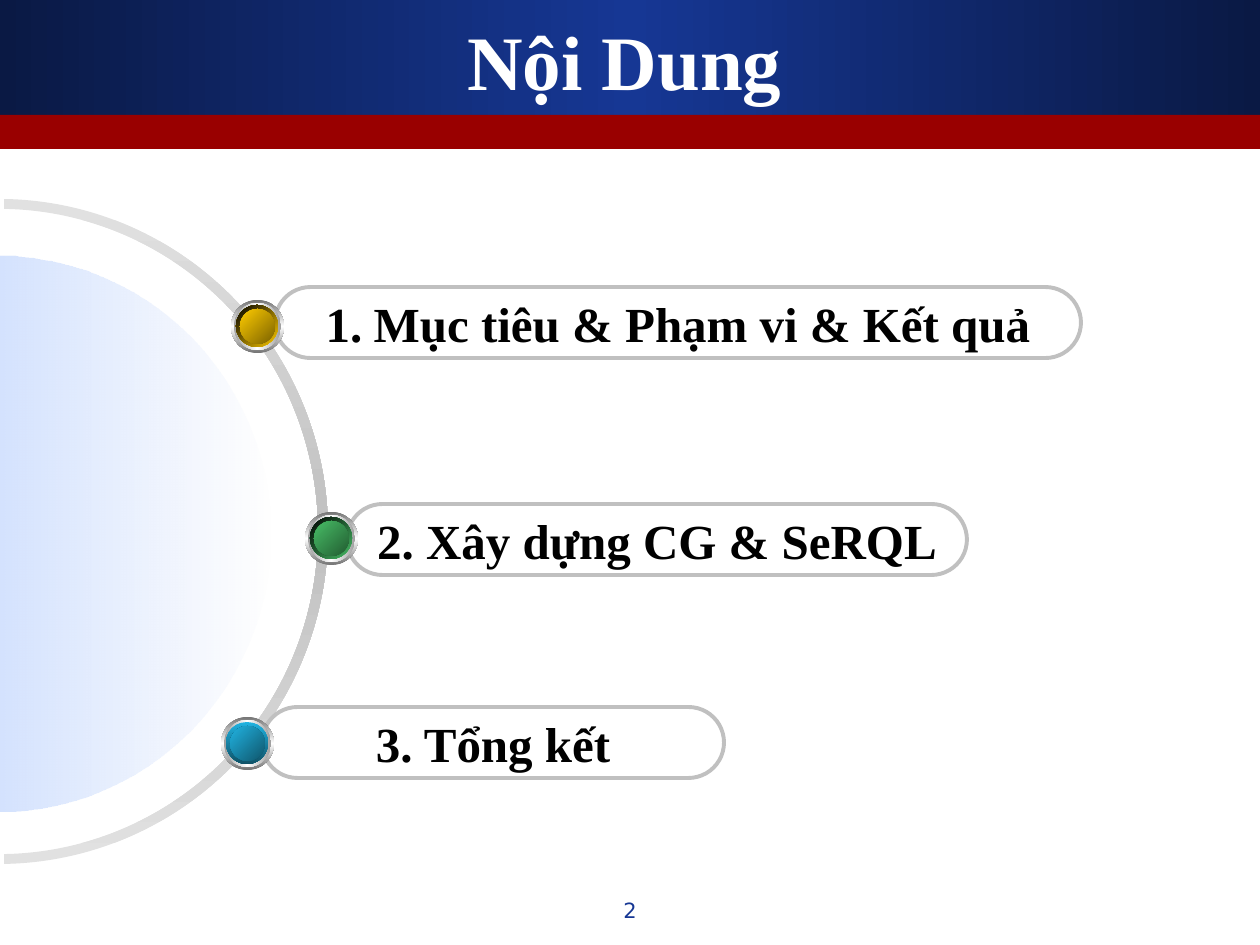
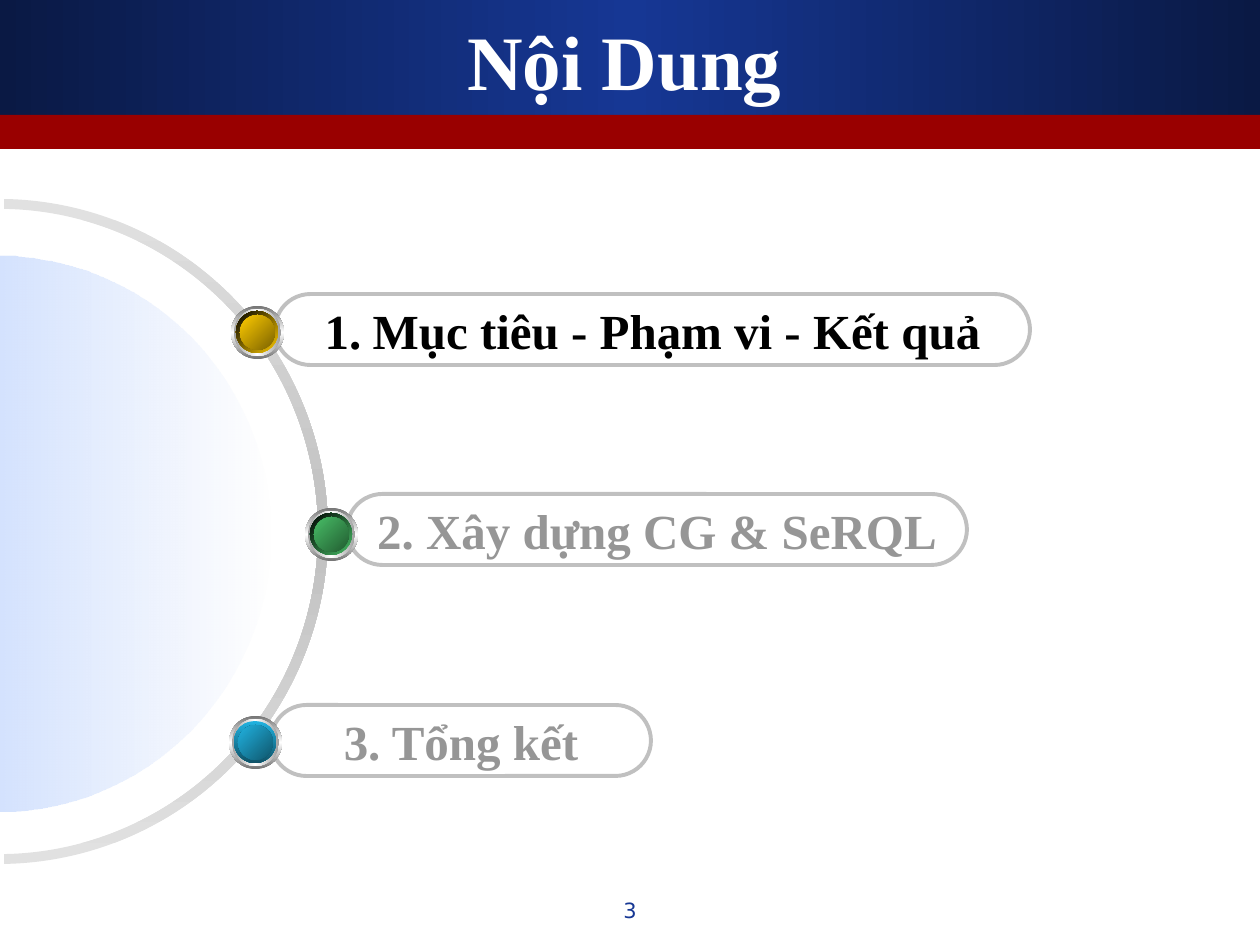
import pptx
import pptx.dml.color
import pptx.enum.shapes
import pptx.enum.text
import pptx.oxml.ns
import pptx.util
from lxml import etree

RGB = pptx.dml.color.RGBColor
SHAPE = pptx.enum.shapes.MSO_SHAPE
ANCHOR = pptx.enum.text.MSO_ANCHOR
ALIGN = pptx.enum.text.PP_ALIGN
qn = pptx.oxml.ns.qn

EMU_PER_PX = 914400 / 126
SLIDE_WIDTH, SLIDE_HEIGHT = 1260, 945
PILL_HEIGHT = 71
KNOB_SIZE = 53
SERIF, SANS = "Times New Roman", "DejaVu Sans"

WHITE = RGB(0xFF, 0xFF, 0xFF)
BLACK = RGB(0x00, 0x00, 0x00)
NAVY = RGB(0x0A, 0x19, 0x44)
BLUE = RGB(0x16, 0x37, 0x94)
RED = RGB(0x99, 0x00, 0x00)
PALE_GRAY = RGB(0xE1, 0xE1, 0xE1)
SILVER = RGB(0xC0, 0xC0, 0xC0)
MUTED = RGB(0x96, 0x96, 0x96)
STEEL = RGB(0x75, 0x75, 0x75)
ASH = RGB(0xA1, 0xA1, 0xA1)
SKY = RGB(0x66, 0x99, 0xFF)
NEAR_WHITE = RGB(0xFE, 0xFE, 0xFE)
GOLD, DARK_GOLD = RGB(0xFF, 0xCC, 0x00), RGB(0x7B, 0x62, 0x00)
GREEN, DARK_GREEN = RGB(0x48, 0xBE, 0x67), RGB(0x22, 0x5C, 0x31)
CYAN, DARK_CYAN = RGB(0x21, 0xB3, 0xE1), RGB(0x0F, 0x56, 0x6C)
CYAN_RIM = RGB(0x0F, 0x52, 0x67)

KNOB_STYLES = [
    (((GOLD, BLACK), 225), ((DARK_GOLD, GOLD), 225)),
    (((GREEN, BLACK), 225), ((DARK_GREEN, GREEN), 225)),
    (((CYAN, CYAN_RIM), 90), ((DARK_CYAN, CYAN), 225)),
]

AGENDAS = [
    {
        "number": "2",
        "items": [
            ("Mục tiêu & Phạm vi & Kết quả", True, BLACK, (275, 287, 806), (231, 300)),
            ("2. Xây dựng CG & SeRQL", False, BLACK, (347, 504, 620), (305, 512)),
            ("3. Tổng kết", False, BLACK, (262, 707, 462), (221, 717)),
        ],
    },
    {
        "number": "3",
        "items": [
            ("Mục tiêu - Phạm vi - Kết quả", True, BLACK, (275, 294, 755), (231, 306)),
            ("2. Xây dựng CG & SeRQL", False, MUTED, (347, 494, 620), (305, 508)),
            ("3. Tổng kết", False, MUTED, (271, 705, 380), (229, 716)),
        ],
    },
]


def px(*lengths):
    """Turn pixel lengths into EMU."""
    return [pptx.util.Emu(round(length * EMU_PER_PX)) for length in lengths]


def fill_gradient(shape, colors, angle, alphas=None):
    """Fill a shape with evenly spaced colours, at a clockwise angle."""
    shape.fill.gradient()
    shape.fill.gradient_angle = (360 - angle) % 360
    stops = shape._element.spPr.find(qn("a:gradFill")).find(qn("a:gsLst"))
    for stop in list(stops):
        stops.remove(stop)
    for index, color in enumerate(colors):
        position = 100000 * index // (len(colors) - 1)
        stop = etree.SubElement(stops, qn("a:gs"), pos=str(position))
        value = etree.SubElement(stop, qn("a:srgbClr"), val=str(color))
        if alphas:
            etree.SubElement(value, qn("a:alpha"), val=str(alphas[index] * 1000))


def add_plain_shape(shapes, kind, box):
    """Add a preset shape without shadow, fill or line."""
    shape = shapes.add_shape(kind, *px(*box))
    shape.shadow.inherit = False
    shape.fill.background()
    shape.line.fill.background()
    return shape


def write_text(shape, text, font_name, size, color, bold=False, wrap=True):
    """Write one centred run into a shape and return its paragraph."""
    frame = shape.text_frame
    frame.word_wrap = wrap
    paragraph = frame.paragraphs[0]
    paragraph.alignment = ALIGN.CENTER
    run = paragraph.add_run()
    run.text = text
    run.font.name = font_name
    run.font.size = pptx.util.Pt(size)
    run.font.bold = bold
    run.font.color.rgb = color
    return paragraph


def add_header(slide, title, height=115, stripe_height=34):
    """Draw the title band with its stripe."""
    band = add_plain_shape(slide.shapes, SHAPE.RECTANGLE, (0, 0, SLIDE_WIDTH, height))
    fill_gradient(band, (NAVY, BLUE, NAVY), 180)
    stripe = add_plain_shape(slide.shapes, SHAPE.RECTANGLE,
                             (0, height, SLIDE_WIDTH, stripe_height))
    stripe.fill.solid()
    stripe.fill.fore_color.rgb = RED
    title_box = slide.shapes.add_textbox(*px(42, 21, 1165, 78))
    title_box.text_frame.vertical_anchor = ANCHOR.MIDDLE
    write_text(title_box, title, SERIF, 44, WHITE, bold=True)


def add_footer(slide, number):
    """Write the slide number at the bottom centre."""
    number_box = slide.shapes.add_textbox(*px(483, 891, 294, 44))
    write_text(number_box, number, SANS, 12, BLUE)


def add_arc(slide, box, start, end, thickness):
    """Add a block arc between two clockwise angles in degrees."""
    arc = add_plain_shape(slide.shapes, SHAPE.BLOCK_ARC, box)
    arc.adjustments[0] = start * 0.6
    arc.adjustments[1] = end * 0.6
    arc.adjustments[2] = thickness
    return arc


def add_dial(slide):
    """Draw the ring and the half disc at the left edge."""
    ring = add_arc(slide, (-330, 199, 658, 665), 270.87, 89.13, 0.015)
    fill_gradient(ring, (PALE_GRAY, SILVER, PALE_GRAY), 90)
    disc = add_arc(slide, (-272, 256, 542, 556), 270, 90, 0.497)
    fill_gradient(disc, (SKY, NEAR_WHITE), 0, alphas=(56, 48))


def add_pill(slide, text, numbered, color, left, top, width):
    """Add one agenda entry in a rounded outline."""
    pill = add_plain_shape(slide.shapes, SHAPE.ROUNDED_RECTANGLE,
                           (left, top, width, PILL_HEIGHT))
    pill.adjustments[0] = 0.5
    pill.line.color.rgb = SILVER
    pill.line.width = pptx.util.Pt(2.25)
    pill.text_frame.vertical_anchor = ANCHOR.MIDDLE
    paragraph = write_text(pill, text, SERIF, 28, color, bold=True, wrap=False)
    if numbered:
        properties = paragraph._p.get_or_add_pPr()
        indent = px(48)[0]
        properties.set("marL", str(indent))
        properties.set("indent", str(-indent))
        bullet_color = etree.SubElement(properties, qn("a:buClr"))
        etree.SubElement(bullet_color, qn("a:srgbClr"), val=str(color))
        etree.SubElement(properties, qn("a:buFont"), typeface=SERIF)
        etree.SubElement(properties, qn("a:buAutoNum"), type="arabicPeriod")


def add_knob(slide, rim, core, left, top):
    """Add a round knob made of concentric discs."""
    knob = slide.shapes.add_group_shape()
    discs = [
        (KNOB_SIZE, ((STEEL, WHITE, STEEL), 90)),
        (47, ((ASH, WHITE, ASH), 180)),
        (42, rim),
        (35, core),
    ]
    for size, (colors, angle) in discs:
        inset = (KNOB_SIZE - size) // 2
        disc = add_plain_shape(knob.shapes, SHAPE.OVAL,
                               (left + inset, top + inset, size, size))
        fill_gradient(disc, colors, angle)


def add_agenda_slide(presentation, number, items):
    """Build one agenda slide."""
    slide = presentation.slides.add_slide(presentation.slide_layouts[6])
    add_header(slide, "Nội Dung")
    add_dial(slide)
    for text, numbered, color, pill_box, _ in items:
        add_pill(slide, text, numbered, color, *pill_box)
    for (*_, corner), (rim, core) in zip(items, KNOB_STYLES):
        add_knob(slide, rim, core, *corner)
    add_footer(slide, number)


def main():
    """Build and save the presentation."""
    presentation = pptx.Presentation()
    presentation.slide_width, presentation.slide_height = px(SLIDE_WIDTH, SLIDE_HEIGHT)
    for agenda in AGENDAS:
        add_agenda_slide(presentation, **agenda)
    presentation.save("out.pptx")


if __name__ == "__main__":
    main()
